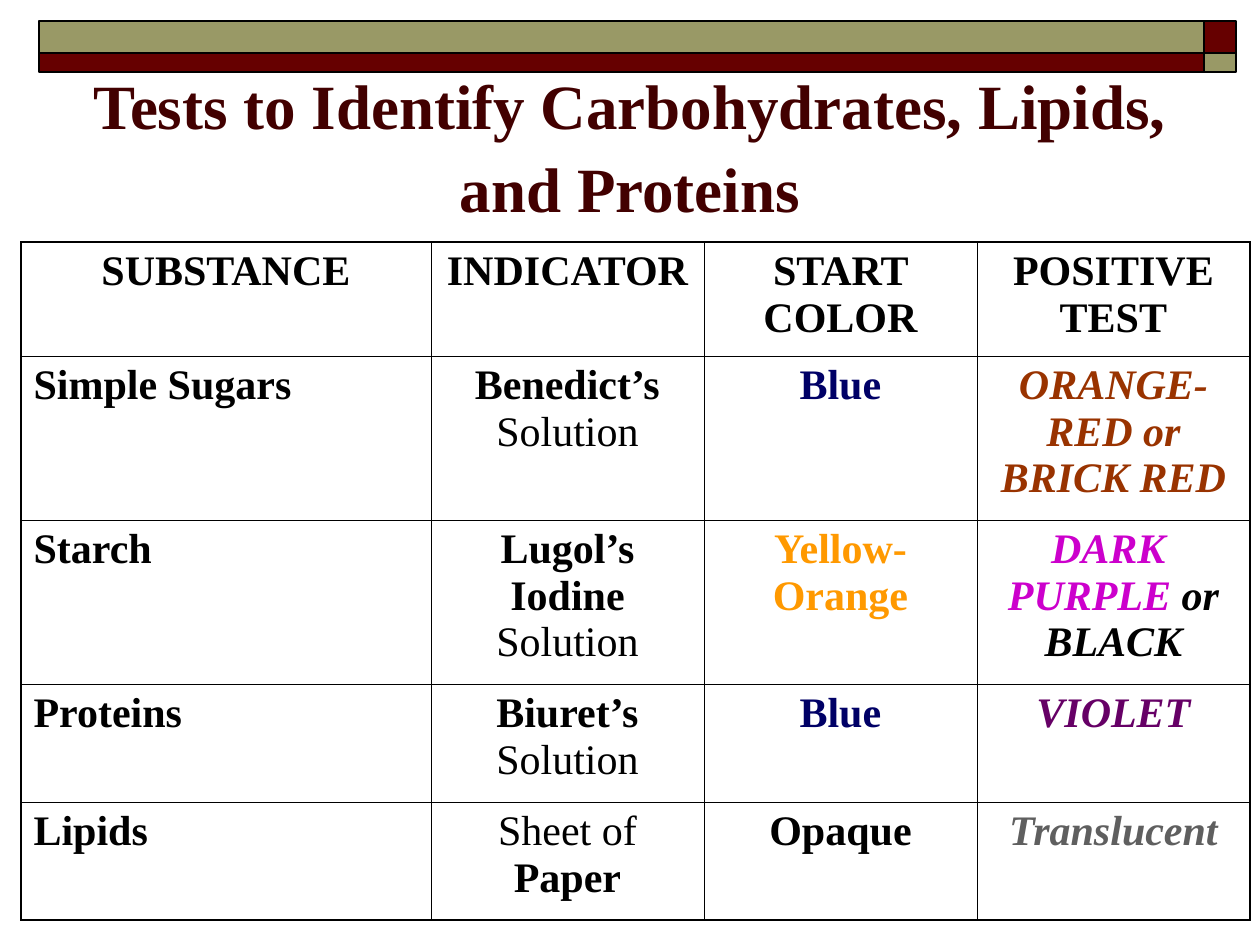
import pptx
import pptx.util
import pptx.dml.color
import pptx.enum.shapes
import pptx.enum.text
import pptx.oxml.ns
from lxml import etree

SCALE = 914400 / 126
FONT = "Times New Roman"
HUES = {
    "black": "000000", "olive": "999966", "wine": "660000", "title": "420000",
    "blue": "000066", "brick": "993300", "amber": "FF9900", "pink": "CC00CC",
    "violet": "660066", "gray": "5F5F5F",
}
COLS = [410, 273, 273, 273]
ROWS = [114, 164, 164, 118, 118]

# A cell is a list of runs: text, style (b bold, i italic), colour.
CELLS = [
    [[(head, "b", "black")]
     for head in ("SUBSTANCE", "INDICATOR", "START COLOR", "POSITIVE TEST")],
    [[("Simple Sugars", "b", "black")],
     [("Benedict’s ", "b", "black"), ("Solution", "", "black")],
     [("Blue", "b", "blue")],
     [("ORANGE-RED or BRICK RED", "bi", "brick")]],
    [[("Starch", "b", "black")],
     [("Lugol’s Iodine", "b", "black"), (" Solution", "", "black")],
     [("Yellow-Orange", "b", "amber")],
     [("DARK  PURPLE", "bi", "pink"), (" or BLACK", "bi", "black")]],
    [[("Proteins", "b", "black")],
     [("Biuret’s ", "b", "black"), ("Solution", "", "black")],
     [("Blue", "b", "blue")],
     [("VIOLET", "bi", "violet")]],
    [[("Lipids", "b", "black")],
     [("Sheet of ", "", "black"), ("Paper", "b", "black")],
     [("Opaque", "b", "black")],
     [("Translucent", "bi", "gray")]],
]


def px(num):
    return pptx.util.Emu(round(num * SCALE))


def hue(name):
    return pptx.dml.color.RGBColor.from_string(HUES[name])


def style(font, marks, color):
    font.bold = "b" in marks
    font.italic = "i" in marks
    font.color.rgb = hue(color)


def add_bars(slide, left, top, width, height):
    """Two stacked bars, with the colours swapped in the end squares."""
    end, thin = 32, 19
    thick = height - thin
    long = width - end
    bars = [
        (long, 0, end, thick, "wine"), (0, 0, long, thick, "olive"),
        (0, thick, long, thin, "wine"), (long, thick, end, thin, "olive"),
    ]
    for x, y, w, h, color in bars:
        bar = slide.shapes.add_shape(
            pptx.enum.shapes.MSO_SHAPE.RECTANGLE,
            px(left + x), px(top + y), px(w), px(h))
        bar.shadow.inherit = False
        bar.fill.solid()
        bar.fill.fore_color.rgb = hue(color)
        bar.line.color.rgb = hue("black")
        bar.line.width = pptx.util.Pt(1)


def add_rule(slide, left, top, width):
    rule = slide.shapes.add_connector(
        pptx.enum.shapes.MSO_CONNECTOR.STRAIGHT,
        px(left + width), px(top), px(left), px(top))
    rule.line.color.rgb = hue("black")
    rule.line.width = pptx.util.Pt(1)
    props = rule._element.spPr
    etree.SubElement(props, pptx.oxml.ns.qn("a:effectLst"))


def add_title(slide, left, top, width, height):
    box = slide.shapes.add_textbox(px(left), px(top), px(width), px(height))
    frame = box.text_frame
    frame.word_wrap = True
    frame.vertical_anchor = pptx.enum.text.MSO_ANCHOR.BOTTOM
    para = frame.paragraphs[0]
    para.text = "Tests to Identify Carbohydrates, Lipids, and Proteins"
    para.alignment = pptx.enum.text.PP_ALIGN.CENTER
    para.line_spacing = 1.09
    para.font.name = FONT
    para.font.size = pptx.util.Pt(36)
    style(para.font, "b", "title")


def add_edge(cell, side, width):
    qn = pptx.oxml.ns.qn
    props = cell._tc.get_or_add_tcPr()
    edge = etree.SubElement(props, qn("a:ln" + side),
                            w=str(pptx.util.Pt(width)))
    fill = etree.SubElement(edge, qn("a:solidFill"))
    etree.SubElement(fill, qn("a:srgbClr"), val=HUES["black"])


def fill_cell(cell, runs, align):
    para = cell.text_frame.paragraphs[0]
    para.alignment = align
    para.space_before = pptx.util.Pt(6)
    para.font.name = FONT
    para.font.size = pptx.util.Pt(24)
    for text, marks, color in runs:
        run = para.add_run()
        run.text = text
        if len(runs) > 1:
            style(run.font, marks, color)
    if len(runs) == 1:
        style(para.font, *runs[0][1:])


def add_tests(slide, left, top):
    """Table with a heavier outer frame and a centred body."""
    table = slide.shapes.add_table(
        len(ROWS), len(COLS), px(left), px(top),
        px(sum(COLS)), px(sum(ROWS))).table
    table.horz_banding = False
    for col, width in zip(table.columns, COLS):
        col.width = px(width)
    for row, height in zip(table.rows, ROWS):
        row.height = px(height)
    kinds = pptx.enum.text.PP_ALIGN
    for i, row in enumerate(CELLS):
        for j, runs in enumerate(row):
            cell = table.cell(i, j)
            align = kinds.LEFT if i and j == 0 else kinds.CENTER
            fill_cell(cell, runs, align)
            outer = {"L": j == 0, "R": j == len(COLS) - 1,
                     "T": i == 0, "B": i == len(ROWS) - 1}
            for side, heavy in outer.items():
                add_edge(cell, side, 1.08 if heavy else 0.45)
            cell.fill.background()


def main():
    deck = pptx.Presentation()
    deck.slide_width = px(1260)
    deck.slide_height = px(945)
    slide = deck.slides.add_slide(deck.slide_layouts[6])
    add_rule(slide, 63, 242, 1144)
    add_bars(slide, 39, 21, 1197, 51)
    add_title(slide, 63, 73, 1134, 158)
    add_tests(slide, 21, 242)
    deck.save("out.pptx")


if __name__ == "__main__":
    main()
